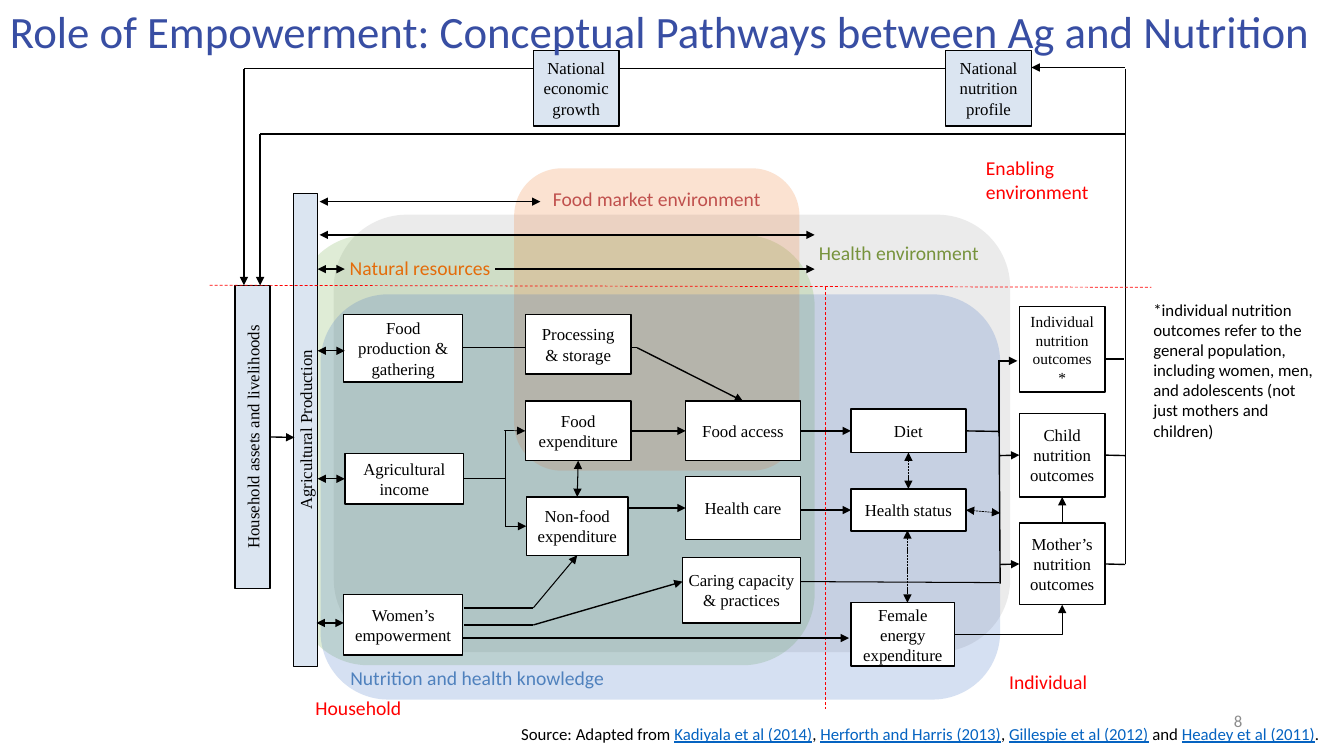
from dataclasses import dataclass
from typing import NamedTuple, Optional, Union

import pptx
import pptx.dml.color
import pptx.enum.dml
import pptx.enum.shapes
import pptx.enum.text
import pptx.oxml.ns
import pptx.util
from lxml import etree
from pptx.util import Inches

COLORS = {
    "black": "000000", "white": "FFFFFF", "red": "FF0000", "pale": "DBE5F1",
    "gray": "A5A5A5", "green": "70AD47", "orange": "ED7D31", "blue": "4472C4",
    "health": "77933C", "nature": "E46C0A", "market": "C0504D", "knowledge": "4F81BD",
    "title": "384EA3", "link": "0563C1", "number": "8C8C8C",
}
ALIGN = pptx.enum.text.PP_ALIGN
ANCHOR = pptx.enum.text.MSO_ANCHOR
DASH = pptx.enum.dml.MSO_LINE.DASH
SHORT_DASH = pptx.enum.dml.MSO_LINE.SQUARE_DOT
SHAPE = pptx.enum.shapes.MSO_SHAPE
CONNECTOR = pptx.enum.shapes.MSO_CONNECTOR
TOP, LEFT, BOTTOM, RIGHT = range(4)


class Area(NamedTuple):
    left: float
    top: float
    width: float
    height: float


class Joint(NamedTuple):
    box: str
    side: int


class Point(NamedTuple):
    x: float
    y: float


@dataclass
class Zone:
    text: str
    area: Area
    fill: str
    opacity: int
    color: str
    align: ALIGN
    inset_left: float = 0.1
    inset_top: float = 0.05


@dataclass
class Box:
    text: str
    area: Area
    fill: Optional[str] = "white"
    inset: float = 0.1
    size: int = 12
    vertical: bool = False


@dataclass
class Link:
    start: Union[Point, Joint]
    end: Union[Point, Joint]
    arrows: str = ""
    weight: float = 1
    color: str = "black"
    dash: Optional[pptx.enum.dml.MSO_LINE] = None
    bent: bool = False


@dataclass
class Label:
    spans: list[tuple[str, str]]
    area: Area
    size: int = 14
    align: ALIGN = ALIGN.LEFT
    anchor: ANCHOR = ANCHOR.TOP
    spacing: Optional[float] = None


ZONES = [
    Zone("Health environment", Area(3.31, 2.13, 6.71, 4.34), "gray", 21, "health", ALIGN.RIGHT),
    Zone("Natural resources", Area(2.94, 2.33, 5.14, 4.27), "green", 22, "nature", ALIGN.LEFT, 0.32, 0),
    Zone("Food market environment", Area(5.1, 1.67, 2.83, 3), "orange", 22, "market", ALIGN.CENTER),
    Zone("Nutrition and health knowledge", Area(3.18, 2.92, 6.74, 4.02), "blue", 22, "knowledge",
         ALIGN.LEFT, inset_top=3.49),
]
BOXES = [
    Box("Food access", Area(6.8, 3.98, 1.14, 0.59)),
    Box("Food expenditure", Area(5.21, 3.98, 1.05, 0.59)),
    Box("Non-food expenditure", Area(5.22, 4.93, 1.01, 0.58)),
    Box("Diet", Area(8.44, 4.06, 1.14, 0.43), inset=0.05),
    Box("Child nutrition outcomes", Area(10.11, 4.1, 0.85, 0.83), None),
    Box("Household assets and livelihoods", Area(2.33, 2.83, 0.35, 3.01), "pale", 0.05, vertical=True),
    Box("Health status", Area(8.44, 4.85, 1.14, 0.42)),
    Box("Mother’s nutrition outcomes", Area(10.11, 5.19, 0.85, 0.81), None, 0.05),
    Box("Health care", Area(6.8, 4.73, 1.14, 0.62)),
    Box("Women’s empowerment", Area(3.41, 5.9, 1.18, 0.6), inset=0.05),
    Box("National nutrition profile", Area(9.38, 0.5, 0.85, 0.75), "pale"),
    Box("Agricultural income", Area(3.42, 4.5, 1.18, 0.5), inset=0.05),
    Box("Caring capacity & practices", Area(6.77, 5.53, 1.17, 0.65), inset=0.05),
    Box("Female energy expenditure", Area(8.44, 5.98, 1.03, 0.63), inset=0.05),
    Box("Food production & gathering", Area(3.41, 3.12, 1.18, 0.67), inset=0.05),
    Box("National economic growth", Area(5.29, 0.5, 0.85, 0.75), "pale"),
    Box("Processing & storage", Area(5.21, 3.12, 1.05, 0.59)),
    Box("Agricultural Production", Area(2.91, 1.92, 0.24, 4.69), "pale", 0.05, vertical=True),
    Box("Individual nutrition outcomes*", Area(10.11, 3.04, 0.85, 0.85), size=11),
]
LINKS_BEHIND_BOXES = [
    Link(Point(4.54, 3.45), Point(6.32, 3.45)),
    Link(Point(9.38, 0.68), Point(2.42, 0.68), weight=0.75),
]
LINKS = [
    Link(Joint("Food expenditure", RIGHT), Joint("Food access", LEFT), "end"),
    Link(Joint("Food access", RIGHT), Joint("Diet", LEFT), "end"),
    Link(Point(7.94, 5.06), Joint("Health status", LEFT), "end"),
    Link(Point(9.91, 4.29), Point(9.92, 5.79)),
    Link(Joint("Agricultural income", RIGHT), Point(5.01, 4.75)),
    Link(Point(6.24, 5.04), Joint("Health care", LEFT), "end"),
    Link(Point(9.92, 5.6), Joint("Mother’s nutrition outcomes", LEFT), "end"),
    Link(Point(11.16, 0.68), Point(11.16, 5.6)),
    Link(Joint("Child nutrition outcomes", RIGHT), Point(11.16, 4.52)),
    Link(Point(5.29, 6.2), Point(6.77, 5.77), "end"),
    Link(Point(7.94, 5.77), Point(9.91, 5.78), weight=0.75),
    Link(Point(2.42, 0.68), Point(2.42, 2.83), "end"),
    Link(Joint("Non-food expenditure", TOP), Joint("Food expenditure", BOTTOM), "both", 0.75),
    Link(Point(5.29, 6.03), Joint("Non-food expenditure", BOTTOM), "end", 0.75),
    Link(Joint("Diet", RIGHT), Point(9.9, 4.28)),
    Link(Point(10.23, 0.67), Point(11.16, 0.67), "start"),
    Link(Joint("Mother’s nutrition outcomes", RIGHT), Point(11.16, 5.6)),
    Link(Joint("Diet", BOTTOM), Joint("Health status", TOP), "both", 0.5, dash=SHORT_DASH),
    Link(Joint("Child nutrition outcomes", BOTTOM), Joint("Mother’s nutrition outcomes", TOP), "start", 0.5),
    Link(Point(6.32, 3.45), Joint("Food access", TOP), "end"),
    Link(Point(2.58, 1.33), Point(11.16, 1.33)),
    Link(Point(5.01, 4.27), Point(5.01, 5.22), weight=0.5),
    Link(Point(5, 4.27), Joint("Food expenditure", LEFT), "end", 0.5),
    Link(Point(5.01, 5.22), Joint("Non-food expenditure", LEFT), "end", 0.5),
    Link(Point(4.6, 6.03), Point(5.29, 6.03)),
    Link(Point(2.58, 1.33), Point(2.58, 2.83), "end"),
    Link(Point(4.6, 6.2), Point(5.29, 6.2)),
    Link(Point(8.19, 2.85), Point(8.19, 7.03), weight=0.5, color="red", dash=DASH),
    Link(Point(2.08, 2.83), Point(11.42, 2.85), weight=0.5, color="red", dash=DASH),
    Link(Joint("Female energy expenditure", RIGHT), Joint("Mother’s nutrition outcomes", BOTTOM),
         "end", 0.5, bent=True),
    Link(Point(4.91, 2.67), Point(8.08, 2.67), "end"),
    Link(Joint("Household assets and livelihoods", RIGHT), Point(2.92, 4.34), "end"),
    Link(Point(3.14, 6.18), Point(3.41, 6.18), "both"),
    Link(Point(3.15, 4.75), Joint("Agricultural income", LEFT), "both"),
    Link(Point(3.15, 3.48), Point(3.42, 3.48), "both"),
    Link(Point(3.17, 2), Point(5.36, 2), "both"),
    Link(Point(3.17, 2.33), Point(8.08, 2.33), "both"),
    Link(Point(3.15, 2.67), Point(3.42, 2.67), "both"),
    Link(Point(4.58, 6.33), Point(8.42, 6.33), "end"),
    Link(Point(9.91, 4.3), Point(9.91, 3.59)),
    Link(Point(9.92, 5.09), Joint("Health status", RIGHT), "both", 0.5, dash=SHORT_DASH),
    Link(Point(9.92, 4.52), Joint("Child nutrition outcomes", LEFT), "end"),
    Link(Point(9.9, 3.58), Point(10.09, 3.58), "end"),
    Link(Point(10.95, 3.56), Point(11.15, 3.56)),
    Link(Point(9, 5.26), Point(9, 5.98), "both", 0.5, dash=SHORT_DASH),
]
LABELS = [
    Label([("Individual", "red")], Area(9.91, 6.6, 1.32, 0.34)),
    Label([("Household", "red")], Area(3.03, 6.85, 1.32, 0.34)),
    Label([("Enabling environment", "red")], Area(9.68, 1.5, 1.39, 0.57)),
    Label([("Source: Adapted from ", "black"), ("Kadiyala et al (2014)", "link"), (", ", "black"),
           ("Herforth and Harris (2013)", "link"), (", ", "black"), ("Gillespie et al (2012)", "link"),
           (" and ", "black"), ("Headey et al (2011)", "link"), (".", "black")],
          Area(5.07, 7.13, 8.26, 0.3), 12),
    Label([("*individual nutrition outcomes refer to the general population, including women, men, "
            "and adolescents (not just mothers and children)", "black")], Area(11.34, 2.92, 1.85, 1.51), 12),
    Label([("Role of Empowerment: Conceptual Pathways between Ag and Nutrition", "title")],
          Area(0, -0.07, 13.19, 0.82), 32, spacing=1.1),
    Label([("8", "number")], Area(9.42, 6.95, 3, 0.4), 12, ALIGN.RIGHT, ANCHOR.MIDDLE),
]


def rgb(name: str) -> pptx.dml.color.RGBColor:
    return pptx.dml.color.RGBColor.from_string(COLORS[name])


def format_span(span, size: int, color: str, font: str = "Calibri") -> None:
    span.font.name, span.font.size = font, pptx.util.Pt(size)
    span.font.color.rgb = rgb(color)


def add_block(page, kind, area: Area, text: str, fill: Optional[str], align, size: int, color: str, font: str):
    shape = page.shapes.add_shape(kind, *map(Inches, area))
    shape.shadow.inherit = False
    if fill:
        shape.fill.solid()
        shape.fill.fore_color.rgb = rgb(fill)
    else:
        shape.fill.background()
    shape.text_frame.text = text
    shape.text_frame.word_wrap = True
    para = shape.text_frame.paragraphs[0]
    para.alignment = align
    format_span(para.runs[0], size, color, font)
    return shape


def draw_zone(page, zone: Zone) -> None:
    shape = add_block(page, SHAPE.ROUNDED_RECTANGLE, zone.area, zone.text, zone.fill, zone.align,
                      14, zone.color, "Calibri")
    shape.line.fill.background()
    tint = shape._element.spPr.find(".//" + pptx.oxml.ns.qn("a:srgbClr"))
    etree.SubElement(tint, pptx.oxml.ns.qn("a:alpha")).set("val", str(zone.opacity * 1000))
    frame = shape.text_frame
    frame.vertical_anchor = ANCHOR.TOP
    frame.margin_left, frame.margin_top = Inches(zone.inset_left), Inches(zone.inset_top)


def draw_box(page, box: Box):
    shape = add_block(page, SHAPE.RECTANGLE, box.area, box.text, box.fill, ALIGN.CENTER,
                      box.size, "black", "Times New Roman")
    shape.line.color.rgb = rgb("black")
    shape.line.width = pptx.util.Pt(1)
    frame = shape.text_frame
    frame.vertical_anchor = ANCHOR.MIDDLE
    frame.margin_left = frame.margin_right = Inches(box.inset)
    if box.vertical:
        frame._txBody.bodyPr.set("vert", "vert270")
    return shape


def draw_link(page, link: Link, shapes: dict) -> None:
    ends = [end if isinstance(end, Point) else Point(0, 0) for end in (link.start, link.end)]
    kind = CONNECTOR.ELBOW if link.bent else CONNECTOR.STRAIGHT
    line = page.shapes.add_connector(kind, *(Inches(value) for end in ends for value in end))
    for end, connect in ((link.start, line.begin_connect), (link.end, line.end_connect)):
        if isinstance(end, Joint):
            connect(shapes[end.box], end.side)
    line.line.color.rgb = rgb(link.color)
    line.line.width = pptx.util.Pt(link.weight)
    if link.dash:
        line.line.dash_style = link.dash
    properties = line._element.spPr
    if link.bent:
        properties.find(pptx.oxml.ns.qn("a:prstGeom")).set("prst", "bentConnector2")
    stroke = properties.find(pptx.oxml.ns.qn("a:ln"))
    for side, tag in (("start", "a:headEnd"), ("end", "a:tailEnd")):
        if link.arrows in (side, "both"):
            etree.SubElement(stroke, pptx.oxml.ns.qn(tag)).set("type", "triangle")
    etree.SubElement(properties, pptx.oxml.ns.qn("a:effectLst"))


def draw_label(page, label: Label) -> None:
    frame = page.shapes.add_textbox(*map(Inches, label.area)).text_frame
    frame.word_wrap = True
    frame.vertical_anchor = label.anchor
    para = frame.paragraphs[0]
    para.alignment, para.line_spacing = label.align, label.spacing
    for text, color in label.spans:
        span = para.add_run()
        span.text = text
        format_span(span, label.size, color)
        span.font.underline = True if color == "link" else None


def main() -> None:
    deck = pptx.Presentation()
    deck.slide_width, deck.slide_height = Inches(13.33), Inches(7.5)
    page = deck.slides.add_slide(deck.slide_layouts[6])
    for zone in ZONES:
        draw_zone(page, zone)
    for link in LINKS_BEHIND_BOXES:
        draw_link(page, link, {})
    shapes = {box.text: draw_box(page, box) for box in BOXES}
    for link in LINKS:
        draw_link(page, link, shapes)
    for label in LABELS:
        draw_label(page, label)
    deck.save("out.pptx")


if __name__ == "__main__":
    main()
